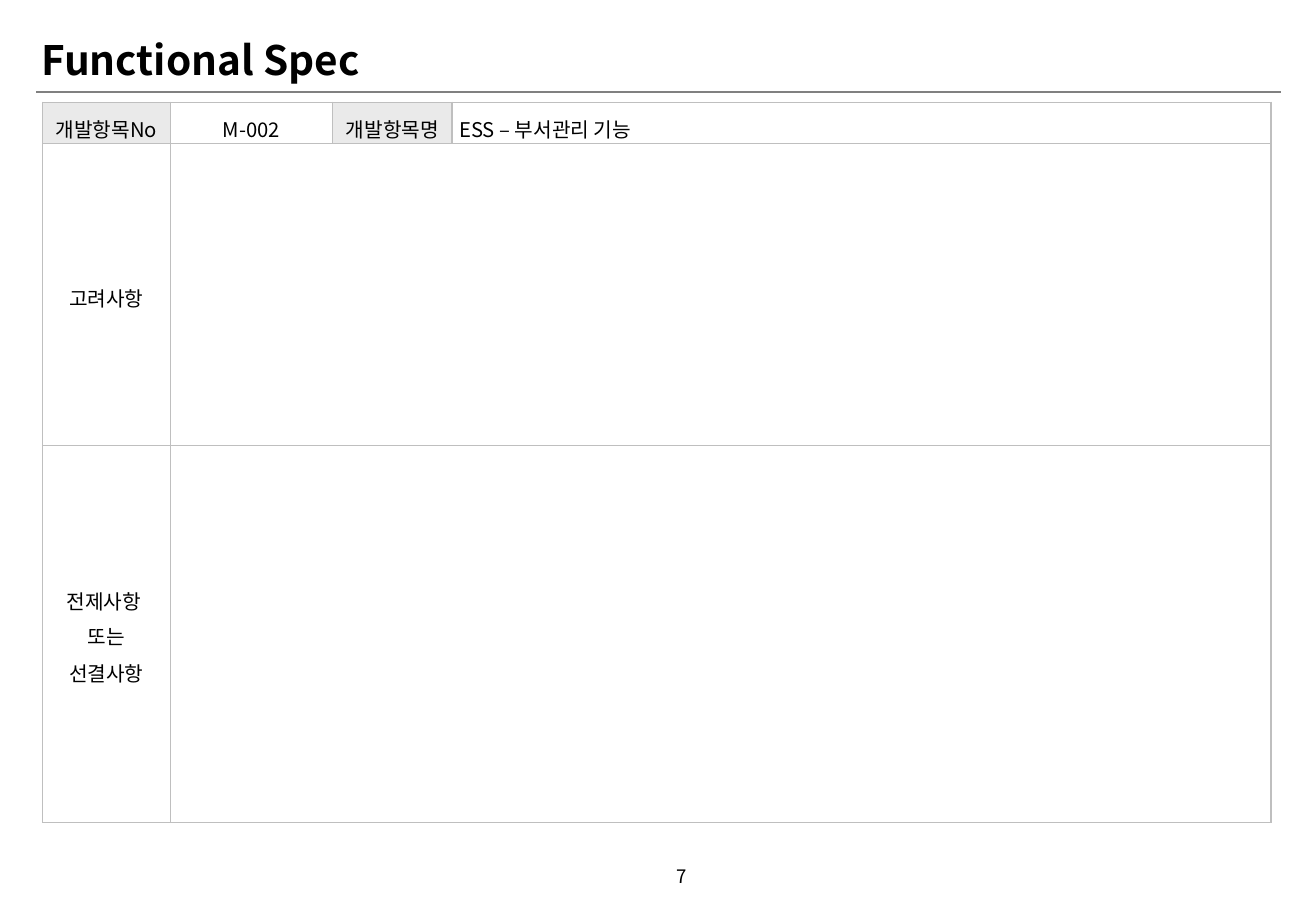
from lxml import etree
from pptx import Presentation
from pptx import util as u
from pptx.dml.color import RGBColor
from pptx.enum import shapes, text
from pptx.oxml.ns import qn

TITLE = "Functional Spec"
PAGE = "7"
HEAD = ["개발항목No", "M-002", "개발항목명", "ESS – 부서관리 기능"]
TOPICS = [["고려사항"], ["전제사항 \v또는", "선결사항"]]
COLS = [1.05, 1.34, 0.98, 6.74]
ROWS = [0.33, 2.49, 3.1]

FONT = "Noto Sans CJK KR"
BLACK = RGBColor(0, 0, 0)
WHITE = RGBColor(0xFF, 0xFF, 0xFF)
SHADE = RGBColor(0xEA, 0xEA, 0xEA)
RULE = RGBColor(0x80, 0x80, 0x80)
GRID = RGBColor(0xBF, 0xBF, 0xBF)
LEFT, MID = text.PP_ALIGN.LEFT, text.PP_ALIGN.CENTER


def write(frame, lines, size=12, bold=False, align=LEFT, space=1.0, before=0):
    for i, line in enumerate(lines):
        para = frame.add_paragraph() if i else frame.paragraphs[0]
        para.text = line
        para.alignment = align
        para.line_spacing = space
        para.space_before = u.Pt(before)
        for run in para.runs:
            font = run.font
            font.name, font.size, font.bold = FONT, u.Pt(size), bold
            font.color.rgb = BLACK
            east = etree.SubElement(run.font._element, qn("a:ea"))
            east.set("typeface", FONT)


def edge(cell):
    """Draw the four thin borders of a cell, ahead of its fill."""
    props = cell._tc.get_or_add_tcPr()
    for i, side in enumerate(("lnL", "lnR", "lnT", "lnB")):
        line = etree.Element(qn("a:" + side), w=str(u.Pt(0.75)))
        fill = etree.SubElement(line, qn("a:solidFill"))
        etree.SubElement(fill, qn("a:srgbClr"), val=str(GRID))
        props.insert(i, line)


def pad(cell, side, end):
    cell.margin_left = cell.margin_right = u.Inches(side)
    cell.margin_top = cell.margin_bottom = u.Inches(end)


def main():
    deck = Presentation()
    deck.slide_width, deck.slide_height = u.Inches(10.83), u.Inches(7.5)
    slide = deck.slides.add_slide(deck.slide_layouts[5])

    rule = slide.shapes.add_connector(
        shapes.MSO_CONNECTOR.STRAIGHT,
        u.Inches(0.3), u.Inches(0.76), u.Inches(10.54), u.Inches(0.76))
    rule.line.color.rgb, rule.line.width = RULE, u.Pt(1.25)
    etree.SubElement(rule._element.spPr, qn("a:effectLst"))

    title = slide.shapes.title
    title.left, title.top = u.Inches(0.24), u.Inches(0.28)
    title.width, title.height = u.Inches(6.52), u.Inches(0.46)
    title.text_frame.vertical_anchor = text.MSO_ANCHOR.MIDDLE
    title.text_frame.auto_size = text.MSO_AUTO_SIZE.NONE
    write(title.text_frame, [TITLE], size=24, bold=True, space=0.9)

    page = slide.shapes.add_textbox(
        u.Inches(5.16), u.Inches(7.01), u.Inches(0.59), u.Inches(0.4))
    page.text_frame.word_wrap = True
    page.text_frame.vertical_anchor = text.MSO_ANCHOR.MIDDLE
    write(page.text_frame, [PAGE], size=11, align=text.PP_ALIGN.RIGHT)

    table = slide.shapes.add_table(
        len(ROWS), len(COLS), u.Inches(0.35), u.Inches(0.84),
        u.Inches(sum(COLS)), u.Inches(sum(ROWS))).table
    for col, width in zip(table.columns, COLS):
        col.width = u.Inches(width)
    for row, height in zip(table.rows, ROWS):
        row.height = u.Inches(height)
    for cell in table.iter_cells():
        cell.fill.solid()
        cell.fill.fore_color.rgb = WHITE
        cell.vertical_anchor = text.MSO_ANCHOR.MIDDLE
        edge(cell)

    for i, label in enumerate(HEAD):
        cell = table.cell(0, i)
        pad(cell, 0.06, 0.05)
        if i % 2 == 0:
            cell.fill.fore_color.rgb = SHADE
        write(cell.text_frame, [label], space=1.2,
              align=LEFT if i == len(HEAD) - 1 else MID)
    for i, lines in enumerate(TOPICS, 1):
        cell = table.cell(i, 0)
        pad(cell, 0.04, 0.02)
        write(cell.text_frame, lines, space=1.2, align=MID, before=1.2)
        table.cell(i, 1).merge(table.cell(i, len(COLS) - 1))

    deck.save("out.pptx")


if __name__ == "__main__":
    main()
